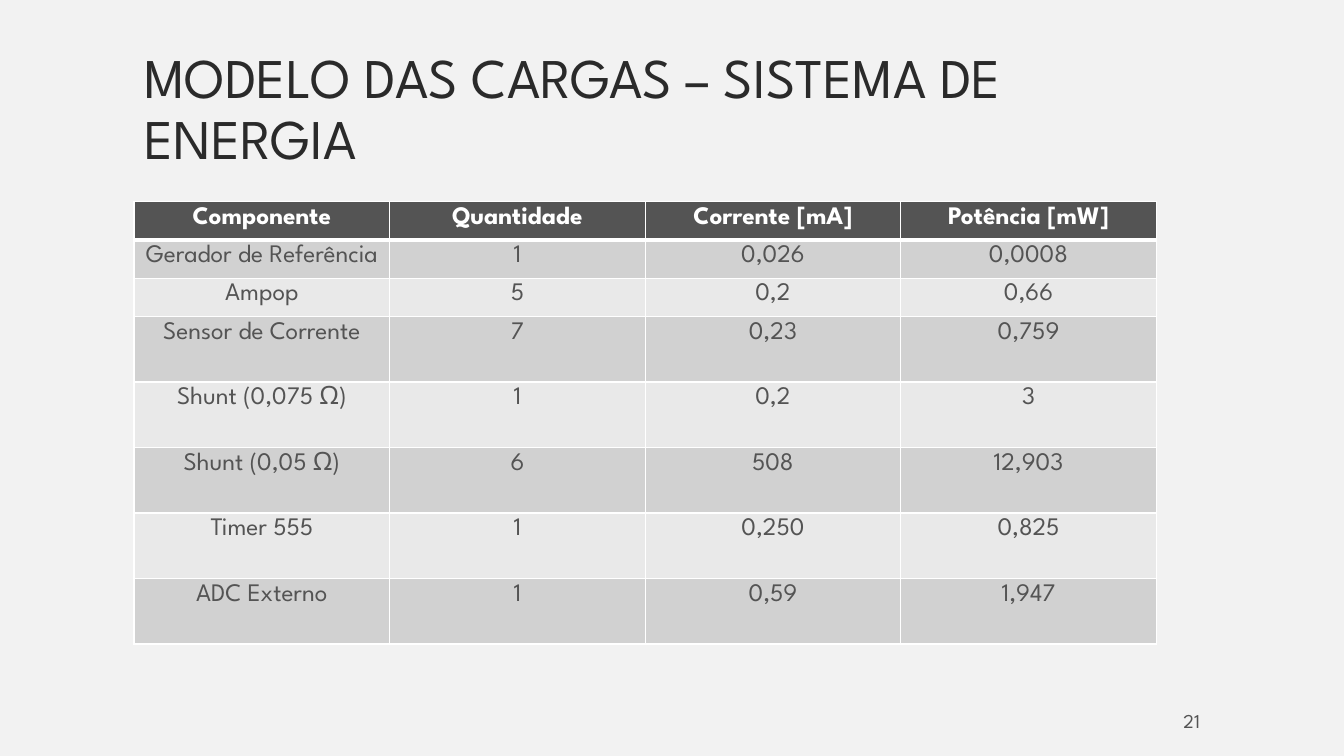
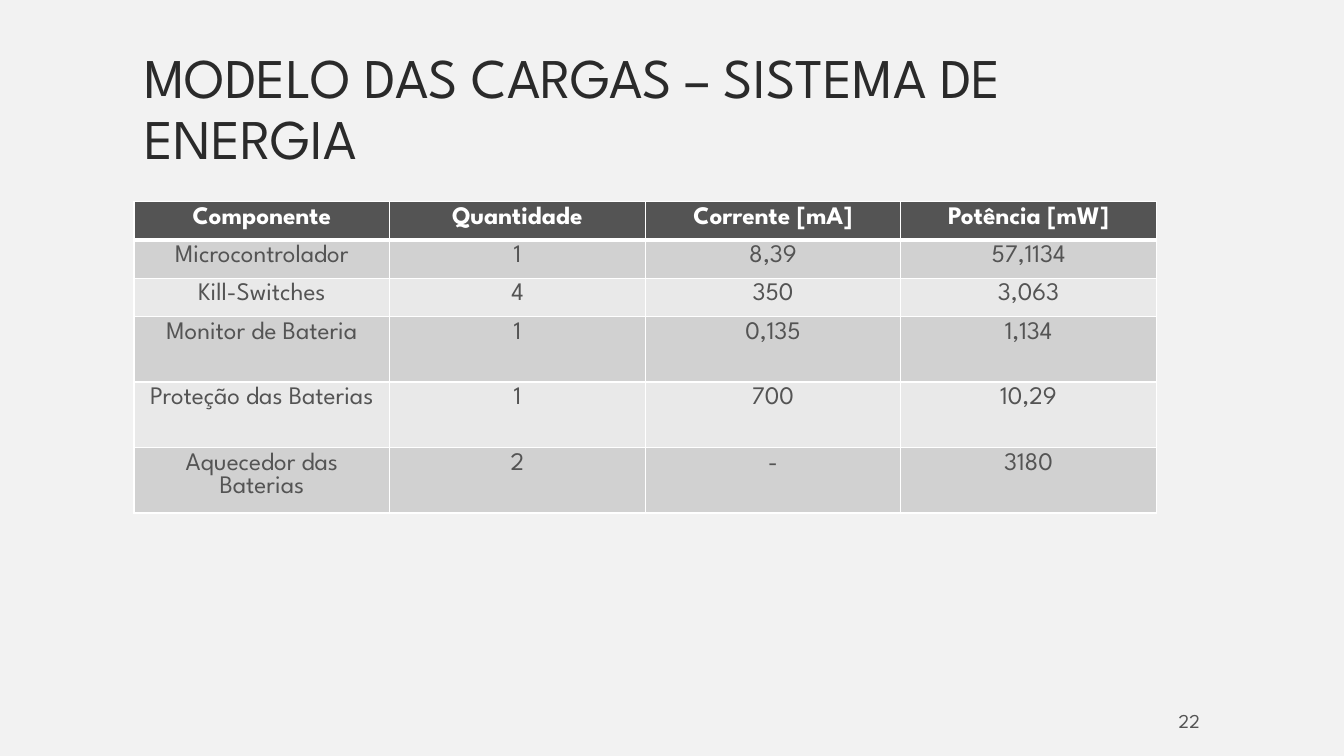
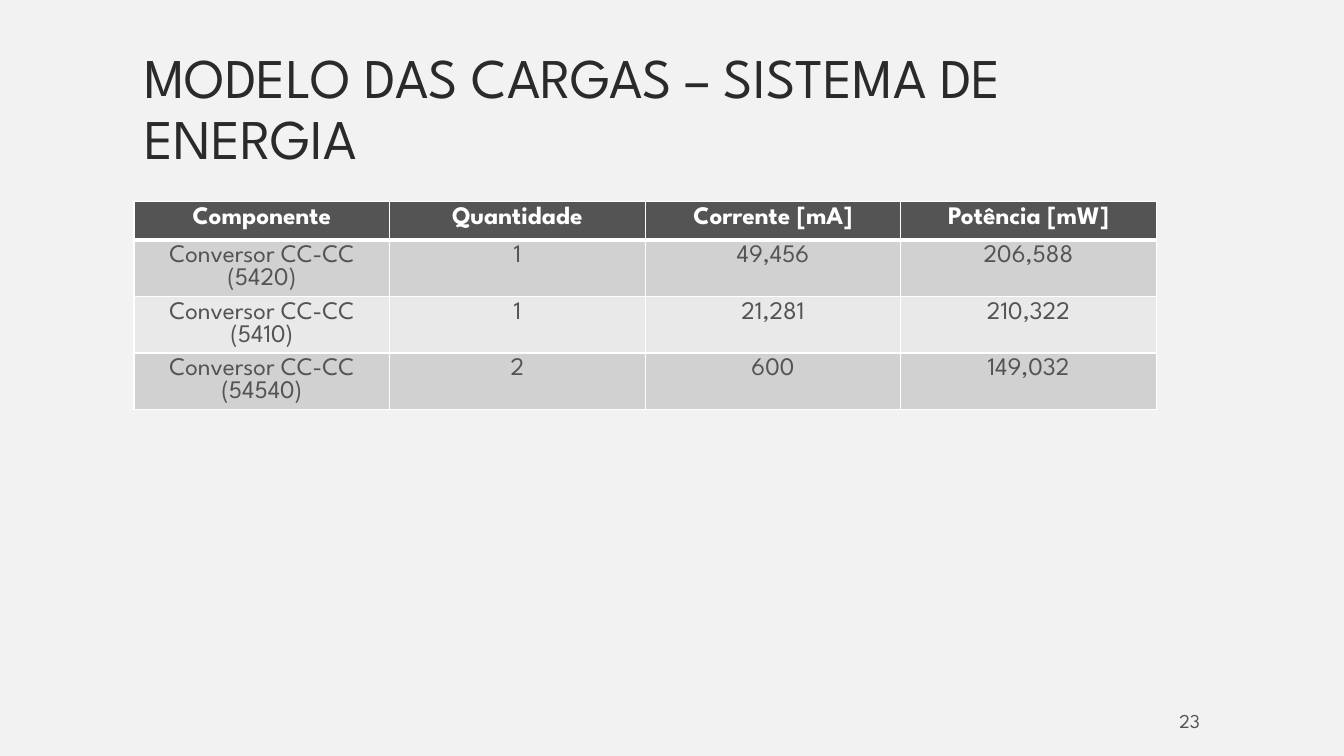
from lxml import etree
from pptx import Presentation, util as u
from pptx.dml.color import RGBColor
from pptx.enum import text
from pptx.oxml.ns import qn

TITLE = "MODELO DAS CARGAS – SISTEMA DE ENERGIA"
HEADER = ("Componente", "Quantidade", "Corrente [mA]", "Potência [mW]")
FIRST_NUMBER = 21
PAGES = [
    {"short_rows": 3, "loads": [
        ("Gerador de Referência", "1", "0,026", "0,0008"),
        ("Ampop", "5", "0,2", "0,66"),
        ("Sensor de Corrente", "7", "0,23", "0,759"),
        ("Shunt (0,075 Ω)", "1", "0,2", "3"),
        ("Shunt (0,05 Ω)", "6", "508", "12,903"),
        ("Timer 555", "1", "0,250", "0,825"),
        ("ADC Externo", "1", "0,59", "1,947"),
    ]},
    {"short_rows": 3, "loads": [
        ("Microcontrolador", "1", "8,39", "57,1134"),
        ("Kill-Switches", "4", "350", "3,063"),
        ("Monitor de Bateria", "1", "0,135", "1,134"),
        ("Proteção das Baterias", "1", "700", "10,29"),
        ("Aquecedor das Baterias", "2", "-", "3180"),
    ]},
    {"short_rows": 4, "loads": [
        ("Conversor CC-CC (5420)", "1", "49,456", "206,588"),
        ("Conversor CC-CC (5410)", "1", "21,281", "210,322"),
        ("Conversor CC-CC (54540)", "2", "600", "149,032"),
    ]},
]

PAPER = RGBColor(0xF2, 0xF2, 0xF2)
INK = RGBColor(0x2A, 0x2A, 0x2A)
GRAY = RGBColor(0x54, 0x54, 0x54)
BANDS = (RGBColor(0xD1, 0xD1, 0xD1), RGBColor(0xE9, 0xE9, 0xE9))
WHITE = RGBColor(0xFF, 0xFF, 0xFF)

FONT = "League Spartan"
TITLE_STYLE = {"size": u.Pt(40), "bold": False, "color": INK}
HEADER_STYLE = {"size": u.Pt(18), "bold": True, "color": WHITE}
BODY_STYLE = {"size": u.Pt(18), "bold": False, "color": GRAY}
NUMBER_STYLE = {"size": u.Pt(14), "bold": False, "color": GRAY}

WIDTH, HEIGHT = 13.33, 7.5
MARGIN = 1.33
TITLE_AREA = (MARGIN, 0.3, 10.67, 1.45)
NUMBER_AREA = (10.75, 7.05, 1.25, 0.2)
TABLE_TOP, COLUMN_WIDTH = 2, 2.535
SHORT_ROW, TALL_ROW = 0.38, 0.65


def write(frame, words, style, align, spacing=None):
    para = frame.paragraphs[0]
    para.alignment = align
    para.line_spacing = spacing
    span = para.add_run()
    span.text = words
    span.font.name = FONT
    span.font.color.rgb = style["color"]
    for name in ("size", "bold"):
        setattr(span.font, name, style[name])


def set_borders(cell, widths):
    properties = cell._tc.get_or_add_tcPr()
    for position, (side, points) in enumerate(widths.items()):
        line = etree.Element(qn("a:ln" + side), w=str(u.Pt(points)))
        fill = etree.SubElement(line, qn("a:solidFill"))
        etree.SubElement(fill, qn("a:srgbClr"), val=str(WHITE))
        properties.insert(position, line)


def add_title(page):
    box = page.shapes.title
    box.left, box.top, box.width, box.height = map(u.Inches, TITLE_AREA)
    frame = box.text_frame
    frame.word_wrap = True
    frame.auto_size = text.MSO_AUTO_SIZE.NONE
    frame.vertical_anchor = text.MSO_ANCHOR.BOTTOM
    write(frame, TITLE, TITLE_STYLE, text.PP_ALIGN.LEFT, 0.9)


def add_loads(page, loads, short_rows):
    rows = [HEADER, *loads]
    heights = [SHORT_ROW if i < short_rows else TALL_ROW for i in range(len(rows))]
    area = (MARGIN, TABLE_TOP, COLUMN_WIDTH * len(HEADER), sum(heights))
    table = page.shapes.add_table(len(rows), len(HEADER), *map(u.Inches, area)).table
    for column in table.columns:
        column.width = u.Inches(COLUMN_WIDTH)
    for i, (row, height) in enumerate(zip(rows, heights)):
        table.rows[i].height = u.Inches(height)
        for j, words in enumerate(row):
            cell = table.cell(i, j)
            cell.fill.solid()
            cell.fill.fore_color.rgb = BANDS[(i - 1) % 2] if i else GRAY
            set_borders(cell, {"L": 1, "R": 1, "T": 3 if i == 1 else 1, "B": 1 if i else 3})
            write(cell.text_frame, words, BODY_STYLE if i else HEADER_STYLE, text.PP_ALIGN.CENTER)


def add_number(page, number):
    frame = page.shapes.add_textbox(*map(u.Inches, NUMBER_AREA)).text_frame
    frame.word_wrap = True
    frame.vertical_anchor = text.MSO_ANCHOR.MIDDLE
    write(frame, str(number), NUMBER_STYLE, text.PP_ALIGN.RIGHT)


def main():
    deck = Presentation()
    deck.slide_width, deck.slide_height = u.Inches(WIDTH), u.Inches(HEIGHT)
    backdrop = deck.slide_master.background.fill
    backdrop.solid()
    backdrop.fore_color.rgb = PAPER
    for number, content in enumerate(PAGES, FIRST_NUMBER):
        page = deck.slides.add_slide(deck.slide_layouts.get_by_name("Title Only"))
        add_title(page)
        add_loads(page, **content)
        add_number(page, number)
    deck.save("out.pptx")


if __name__ == "__main__":
    main()
